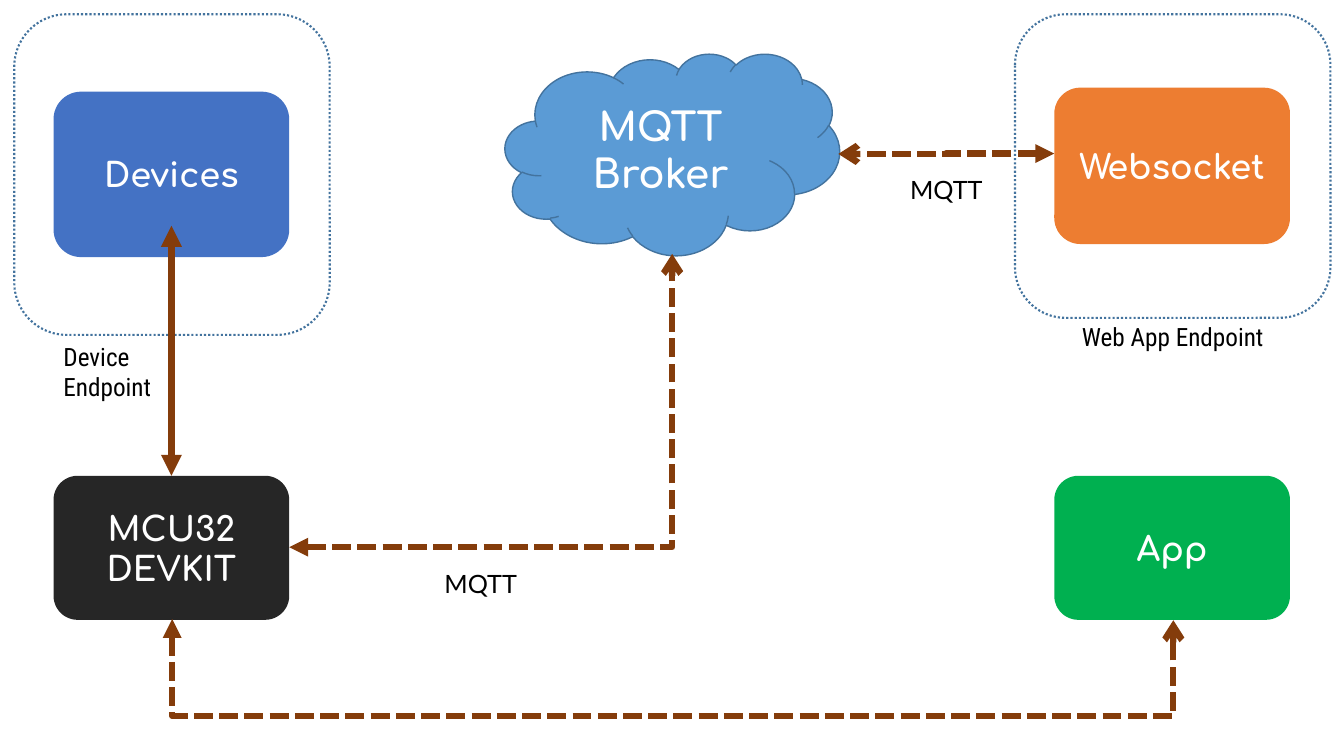
from dataclasses import dataclass
from typing import Optional

import pptx
import pptx.dml.color
import pptx.enum.dml
import pptx.enum.shapes
import pptx.enum.text
import pptx.oxml
import pptx.oxml.ns
import pptx.util
from pptx.util import Cm

Shapes = pptx.enum.shapes.MSO_SHAPE
Connectors = pptx.enum.shapes.MSO_CONNECTOR
Dashes = pptx.enum.dml.MSO_LINE
Align = pptx.enum.text.PP_ALIGN

OUTLINE, ARROW = "43739E", "843C0B"
LEFT_COLUMN, RIGHT_COLUMN, NODE_WIDTH = 1.35, 26.57, 5.94
FRAME_TOP, FRAME_WIDTH = 0.36, 7.95


@dataclass
class Node:
    text: str
    left: float
    top: float
    width: float
    height: float
    fill: Optional[str] = None
    line: Optional[str] = None
    line_width: float = 1
    dash: Optional[pptx.enum.dml.MSO_LINE] = None
    size: int = 24
    preset: pptx.enum.shapes.MSO_SHAPE = Shapes.ROUNDED_RECTANGLE


@dataclass
class Label:
    text: str
    left: float
    top: float
    width: float
    height: float = 1.02
    font: str = "Lato"
    align: pptx.enum.text.PP_ALIGN = Align.CENTER


@dataclass
class Arrow:
    start: tuple[float, float]
    end: tuple[float, float]
    kind: pptx.enum.shapes.MSO_CONNECTOR = Connectors.ELBOW
    width: float = 4.5
    dash: Optional[pptx.enum.dml.MSO_LINE] = Dashes.SQUARE_DOT
    tail: str = "arrow"


def rgb(colour: str) -> pptx.dml.color.RGBColor:
    return pptx.dml.color.RGBColor.from_string(colour)


def write(frame, text: str, font: str, size: int, colour: str, align, bold=False) -> None:
    frame.word_wrap = True
    frame.text = text
    for paragraph in frame.paragraphs:
        paragraph.alignment = align
        paragraph.font.name = font
        paragraph.font.size = pptx.util.Pt(size)
        paragraph.font.bold = bold
        paragraph.font.color.rgb = rgb(colour)


def add_node(shapes, node: Node) -> None:
    shape = shapes.add_shape(node.preset, Cm(node.left), Cm(node.top),
                             Cm(node.width), Cm(node.height))
    shape.shadow.inherit = False
    if node.fill:
        shape.fill.solid()
        shape.fill.fore_color.rgb = rgb(node.fill)
    else:
        shape.fill.background()
    if node.line:
        shape.line.color.rgb = rgb(node.line)
        shape.line.width = pptx.util.Pt(node.line_width)
        if node.dash:
            shape.line.dash_style = node.dash
    else:
        shape.line.fill.background()
    if node.text:
        shape.text_frame.vertical_anchor = pptx.enum.text.MSO_ANCHOR.MIDDLE
        write(shape.text_frame, node.text, "Comfortaa", node.size, "FFFFFF",
              Align.CENTER, bold=True)


def add_label(shapes, label: Label) -> None:
    box = shapes.add_textbox(Cm(label.left), Cm(label.top), Cm(label.width), Cm(label.height))
    write(box.text_frame, label.text, label.font, 18, "000000", label.align)
    box.text_frame.auto_size = pptx.enum.text.MSO_AUTO_SIZE.SHAPE_TO_FIT_TEXT


def add_arrow(shapes, arrow: Arrow):
    points = [Cm(value) for value in (*arrow.start, *arrow.end)]
    connector = shapes.add_connector(arrow.kind, *points)
    connector.line.color.rgb = rgb(ARROW)
    connector.line.width = pptx.util.Pt(arrow.width)
    if arrow.dash:
        connector.line.dash_style = arrow.dash
    properties = connector._element.spPr
    line = connector.line._get_or_add_ln()
    for tag, kind in (("a:headEnd", "triangle"), ("a:tailEnd", arrow.tail)):
        line.append(pptx.oxml.parse_xml(
            f'<{tag} {pptx.oxml.ns.nsdecls("a")} type="{kind}"/>'))
    properties.append(pptx.oxml.parse_xml(f'<a:effectLst {pptx.oxml.ns.nsdecls("a")}/>'))
    return connector


def make_corner(connector) -> None:
    """Give an elbow connector a single bend."""
    connector._element.spPr.prstGeom.set("prst", "bentConnector2")


def make_underpass(connector, depth: float) -> None:
    """Turn an elbow connector so that it runs down, across and up again."""
    width, height = connector.width, connector.height
    centre_x, centre_y = connector.left + width // 2, connector.top + height // 2
    connector.left, connector.top = centre_x - height // 2, centre_y - width // 2
    connector.width, connector.height = height, width
    properties = connector._element.spPr
    properties.xfrm.set("rot", str(270 * 60000))
    properties.xfrm.set("flipH", "1")
    guides = properties.prstGeom.get_or_add_avLst()
    guides.append(pptx.oxml.parse_xml(
        f'<a:gd {pptx.oxml.ns.nsdecls("a")} name="adj1" '
        f'fmla="val {round(Cm(depth) / height * 100000)}"/>'))


presentation = pptx.Presentation()
presentation.slide_width, presentation.slide_height = Cm(33.87), Cm(19.05)
slide = presentation.slides.add_slide(presentation.slide_layouts[6])

# Board, app and broker
for standalone in (
    Node("MCU32\nDEVKIT", LEFT_COLUMN, 11.99, NODE_WIDTH, 3.63, "262626"),
    Node("App", RIGHT_COLUMN, 11.99, NODE_WIDTH, 3.63, "00B050"),
    Node("MQTT\nBroker", 12.73, 1.35, 8.43, 5.08, "5B9BD5", OUTLINE,
         size=28, preset=Shapes.CLOUD),
):
    add_node(slide.shapes, standalone)

# Endpoints: dotted frame, node and caption in one group
endpoints = (
    (Node("", 25.58, FRAME_TOP, FRAME_WIDTH, 7.65, None, OUTLINE, 1.5, Dashes.ROUND_DOT),
     Node("Websocket", RIGHT_COLUMN, 2.21, NODE_WIDTH, 3.94, "ED7D31"),
     Label("Web App Endpoint", 25.58, 7.98, FRAME_WIDTH, font="Roboto Condensed")),
    (Node("", 0.36, FRAME_TOP, FRAME_WIDTH, 8.08, None, OUTLINE, 1.5, Dashes.ROUND_DOT),
     Node("Devices", LEFT_COLUMN, 2.31, NODE_WIDTH, 4.17, "4472C4"),
     Label("Device\nEndpoint", LEFT_COLUMN, 8.48, 6.96, 1.8, "Roboto Condensed", Align.LEFT)),
)
for frame, node, caption in endpoints:
    group = slide.shapes.add_group_shape()
    add_node(group.shapes, frame)
    add_node(group.shapes, node)
    add_label(group.shapes, caption)

# Protocol labels
add_label(slide.shapes, Label("MQTT", 7.29, 14.2, 9.65))
add_label(slide.shapes, Label("MQTT", 21.13, 4.27, 5.44))

# Links between the parts
make_corner(add_arrow(slide.shapes, Arrow((7.29, 13.79), (16.94, 6.4))))
add_arrow(slide.shapes, Arrow((26.57, 3.87), (21.13, 3.88)))
add_arrow(slide.shapes, Arrow((4.32, 5.69), (4.32, 11.99), Connectors.STRAIGHT,
                              5, None, "triangle"))
make_underpass(add_arrow(slide.shapes, Arrow((4.34, 15.6), (29.57, 15.63))), depth=2.44)

presentation.save("out.pptx")
